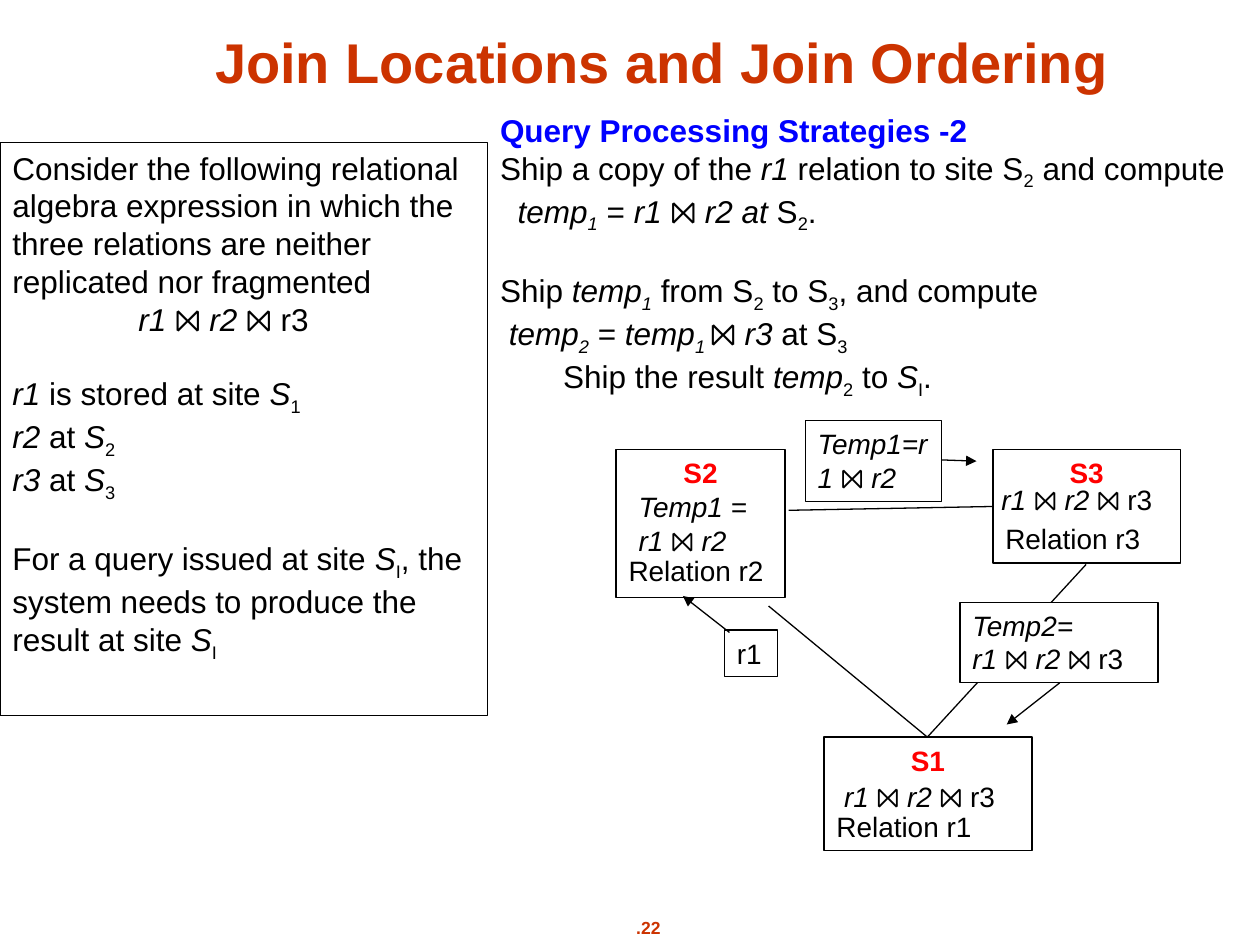
from lxml.etree import SubElement
from pptx import Presentation
from pptx.dml.color import RGBColor
from pptx.enum.shapes import MSO_CONNECTOR, MSO_SHAPE
from pptx.enum.text import MSO_ANCHOR, PP_ALIGN
from pptx.oxml.ns import qn
from pptx.util import Inches, Pt

BLACK = RGBColor(0x00, 0x00, 0x00)
WHITE = RGBColor(0xFF, 0xFF, 0xFF)
RED = RGBColor(0xFF, 0x00, 0x00)
BLUE = RGBColor(0x00, 0x00, 0xFF)
RUST = RGBColor(0xCC, 0x33, 0x00)
COLUMNS, ROWS = 100, 75
WIDTH, HEIGHT = Inches(10), Inches(7.5)
BODY, LABEL = 18, 16
LINE = 1.15
JOIN_ALL = "*r1* ⨝ *r2* ⨝ r3"


def across(columns):
    """Return the length of a number of grid columns."""
    return int(WIDTH * columns / COLUMNS)


def down(rows):
    """Return the length of a number of grid rows."""
    return int(HEIGHT * rows / ROWS)


def place(left, top, width, height):
    """Turn a grid area into slide lengths."""
    return across(left), down(top), across(width), down(height)


def line(text, color=BLACK, bold=False, centred=False, indent=0, skip=0):
    """Describe a paragraph: * toggles italic, _ toggles subscript, skip counts empty lines above."""
    return text, color, bold, centred, indent, skip


def add_spans(para, text, size, color, bold):
    """Fill a paragraph with the formatted spans of a marked-up text."""
    for italic, chunk in enumerate(text.split("*")):
        for lowered, part in enumerate(chunk.split("_")):
            if not part:
                continue
            span = para.add_run()
            span.text = part
            span.font.name = "Arial"
            span.font.size = Pt(size)
            span.font.bold = bold
            span.font.italic = italic % 2 == 1
            span.font.color.rgb = color
            if lowered % 2:
                span.font._element.set("baseline", "-25000")


def write(box, lines, size, anchor=MSO_ANCHOR.TOP, wrap=True):
    """Write the described paragraphs into a box."""
    frame = box.text_frame
    frame.word_wrap = wrap
    frame.vertical_anchor = anchor
    for number, (text, color, bold, centred, indent, skip) in enumerate(lines):
        para = frame.add_paragraph() if number else frame.paragraphs[0]
        para.alignment = PP_ALIGN.CENTER if centred else PP_ALIGN.LEFT
        if indent:
            para._p.get_or_add_pPr().set("marL", str(across(indent)))
        if skip:
            para.space_before = Pt(round(skip * size * LINE, 1))
        add_spans(para, text, size, color, bold)


def add_text(page, area, lines, size=LABEL, **layout):
    """Add a plain text box."""
    write(page.shapes.add_textbox(*place(*area)), lines, size, **layout)


def add_frame(page, area, lines, size=LABEL, fill=None):
    """Add an outlined rectangle with text."""
    box = page.shapes.add_shape(MSO_SHAPE.RECTANGLE, *place(*area))
    box.shadow.inherit = False
    if fill is None:
        box.fill.background()
    else:
        box.fill.solid()
        box.fill.fore_color.rgb = fill
    box.line.color.rgb = BLACK
    box.line.width = Pt(0.75)
    write(box, lines, size)


def add_site(page, area, number, gap):
    """Add a site with its name and the relation stored there."""
    add_frame(page, area, [line(f"S{number}", RED, True, True), line(f"Relation r{number}", skip=gap)])


def add_link(page, start, end, arrow=None):
    """Add a straight line, with a triangle at the named end if any."""
    link = page.shapes.add_connector(
        MSO_CONNECTOR.STRAIGHT, across(start[0]), down(start[1]), across(end[0]), down(end[1]))
    link.line.color.rgb = BLACK
    link.line.width = Pt(0.75)
    if arrow:
        SubElement(link.line._get_or_add_ln(), qn(f"a:{arrow}"), type="triangle")
    SubElement(link._element.spPr, qn("a:effectLst"))


def add_explanation(page):
    """Add the problem statement and the processing strategy."""
    add_frame(page, (0, 11.3, 38.7, 45.5), [
        line("Consider the following relational algebra expression in which the "
             "three relations are neither replicated nor fragmented"),
        line(JOIN_ALL, indent=10),
        line("*r1* is stored at site *S*_1_", skip=1),
        line("*r2* at *S*_2_"),
        line("*r3* at *S*_3_"),
        line("For a query issued at site *S*_I_, the system needs to produce "
             "the result at site *S*_I_", skip=1),
    ], BODY)
    add_text(page, (38.7, 8.3, 66.5, 24.1), [
        line("Query Processing Strategies -2", BLUE, True),
        line("Ship a copy of the *r1* relation to site S_2_ and compute"),
        line("*temp_1_* = *r1* ⨝ *r2 at* S_2_.", indent=1.4),
        line("Ship *temp_1_* from S_2_ to S_3_, and compute", skip=1),
        line("*temp_2_* = *temp_1 _*⨝ *r3* at S_3_", indent=0.7),
        line("Ship the result *temp*_2_ to *S*_I_.", indent=5),
    ], BODY)


def add_diagram(page):
    """Add the three sites and the shipments between them."""
    add_site(page, (48.9, 35.7, 13.4, 11.7), 2, 2)
    add_site(page, (65.4, 58.5, 16.5, 9), 1, 1)
    add_site(page, (78.8, 35.7, 14.9, 9), 3, 1)
    add_link(page, (62.6, 40.5), (78.8, 40.2))
    add_link(page, (86.2, 44.8), (73.6, 58.5))
    add_link(page, (61, 48.1), (73.6, 58.5))
    add_frame(page, (57.5, 50, 4.2, 3.7), [line("r1")])
    add_link(page, (54.2, 47.3), (57.9, 50.2), "headEnd")
    add_text(page, (66, 61.4, 16.2, 3.7), [line(JOIN_ALL)])
    add_text(page, (49.7, 38.4, 11.8, 6.4), [line("*Temp1 =*"), line("*r1* ⨝ *r2*")])
    add_text(page, (78.5, 37.8, 15.7, 3.7), [line(JOIN_ALL)])
    add_frame(page, (76.2, 47.8, 15.7, 6.4), [line("*Temp2=*"), line(JOIN_ALL)], fill=WHITE)
    add_link(page, (84.1, 54.2), (79.9, 57.5), "tailEnd")
    add_frame(page, (63.9, 33.4, 10.8, 6.4), [line("*Temp1=r1* ⨝ *r2*")])
    add_link(page, (74.7, 36.5), (77.5, 36.6), "tailEnd")


def main():
    """Build and save the slide."""
    deck = Presentation()
    deck.slide_width, deck.slide_height = WIDTH, HEIGHT
    page = deck.slides.add_slide(deck.slide_layouts[6])
    add_text(page, (46.9, 72.3, 9.1, 2.7), [line(".22", RUST, True, True)], 10, wrap=False)
    add_text(page, (8.4, 1.3, 88.3, 6.7),
             [line("Join Locations and Join Ordering", RUST, True, True)], 32, anchor=MSO_ANCHOR.BOTTOM)
    add_explanation(page)
    add_diagram(page)
    deck.save("out.pptx")


if __name__ == "__main__":
    main()
